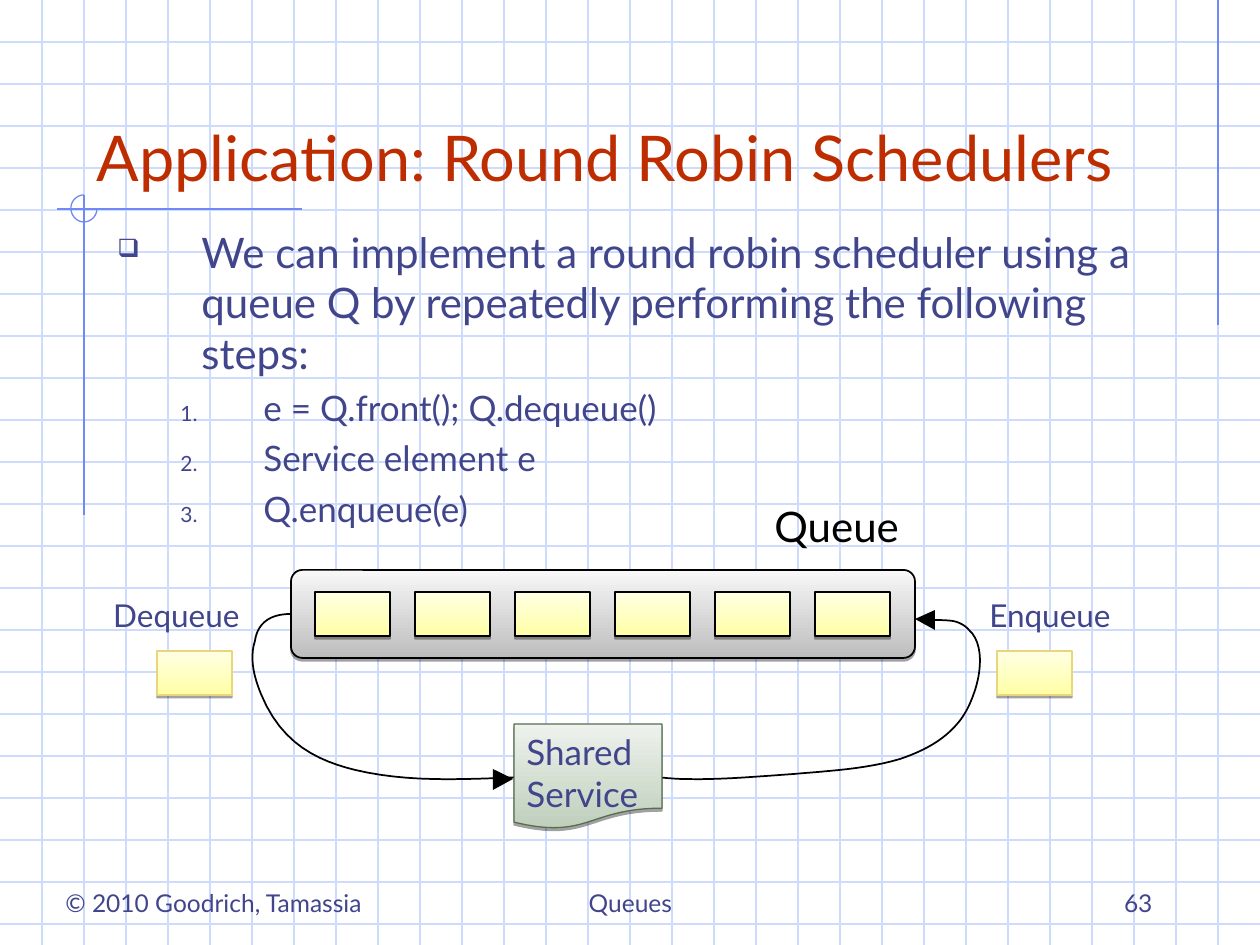
import pptx
import pptx.util
import pptx.dml.color
import pptx.oxml
import pptx.oxml.ns
from pptx.enum.shapes import MSO_CONNECTOR, MSO_SHAPE
from pptx.enum.text import MSO_ANCHOR, MSO_AUTO_SIZE, PP_ALIGN

# Content: lengths in px, 126 to the inch
W, H, GRID = 1260, 945, 42
FONT = "Lato"
INK, RED, BLACK = "40458C", "BE2D00", "000000"
PALE, RULE = "CFDBFD", "6F89F7"
YELLOW, GREY, GREEN = ("FFFFA5", "FFFFE4"), ("BDBDBD", "F8F8F8"), ("BFCFBC", "EEF2ED")

TITLE = "Application: Round Robin Schedulers"
INTRO = ("We can implement a round robin scheduler using a queue Q "
         "by repeatedly performing the following steps:")
STEPS = ["e = Q.front(); Q.dequeue()", "Service element e", "Q.enqueue(e)"]

LEFT, CENTER, RIGHT = PP_ALIGN.LEFT, PP_ALIGN.CENTER, PP_ALIGN.RIGHT
TOP, BOTTOM = MSO_ANCHOR.TOP, MSO_ANCHOR.BOTTOM
LABELS = [  # text, box, size, colour, alignment, anchor
    ("© 2010 Goodrich, Tamassia", (53, 861, 357, 63), 14, INK, LEFT, BOTTOM),
    ("Queues", (431, 861, 399, 63), 14, INK, CENTER, BOTTOM),
    ("63", (903, 861, 262, 63), 14, INK, RIGHT, BOTTOM),
    ("Queue", (762, 494, 158, 63), 24, BLACK, LEFT, TOP),
    ("Enqueue", (977, 590, 262, 50), 18, INK, LEFT, TOP),
    ("Dequeue", (21, 590, 231, 50), 18, INK, RIGHT, TOP),
]
RULES = [(1218, 0, 1218, 325), (302, 209, 57, 209), (84, 195, 84, 515)]

# Curves: a start point, then two control points and an end point for each piece
CORNER = [(84, 195), (77, 195), (71, 201), (71, 208), (71, 216), (77, 222), (84, 222),
          (91, 222), (97, 216), (97, 209)]
DEQUEUE = [(291, 614), (266, 614), (257, 627), (255, 641), (249, 660), (255, 679), (261, 694),
           (282, 745), (319, 761), (355, 770), (406, 782), (457, 780), (524, 777)]
ENQUEUE = [(654, 777), (677, 779), (680, 779), (683, 779), (717, 780), (752, 777), (794, 774),
           (828, 771), (867, 769), (900, 759), (924, 751), (944, 740), (958, 723),
           (964, 716), (969, 707), (973, 696), (982, 673), (984, 643), (969, 630),
           (965, 625), (958, 622), (953, 621), (945, 620), (937, 620), (929, 620)]
ARROWHEADS = [[(493, 790), (513, 779), (493, 769)], [(935, 630), (915, 619), (935, 610)]]

QUEUE = (291, 570, 624, 88)
CELL_W, CELL_H = 75, 44
CELLS = [(315 + 100 * i, 592) for i in range(6)]
LOOSE_CELLS = [(157, 651), (997, 651)]
SERVICE = (514, 724, 148, 105)


def px(v):
    return pptx.util.Emu(round(v * 914400 / 126))


def rgb(c):
    return pptx.dml.color.RGBColor.from_string(c)


def add_xml(parent, xml):
    ns = pptx.oxml.ns.nsdecls("a")
    tag, rest = xml[1:].split(" ", 1)
    parent.append(pptx.oxml.parse_xml(f"<{tag} {ns} {rest}"))


def stroke(sp, color, width):
    sp.line.color.rgb = rgb(color)
    sp.line.width = pptx.util.Pt(width)


def line(x1, y1, x2, y2, color):
    c = s.shapes.add_connector(MSO_CONNECTOR.STRAIGHT, px(x1), px(y1), px(x2), px(y2))
    stroke(c, color, 0.75)
    add_xml(c._element.spPr, "<a:effectLst />")


def outline(points, close):
    pts = [(px(x), px(y)) for x, y in points]
    fb = s.shapes.build_freeform(*pts[0])
    fb.add_line_segments(pts[1:], close=close)
    sp = fb.convert_to_shape()
    sp.shadow.inherit = False
    return sp


def curve(knots, color, width, n=12):
    points = [knots[0]]
    for i in range(0, len(knots) - 1, 3):
        a, b, c, d = knots[i:i + 4]
        for t in (k / n for k in range(1, n + 1)):
            u = 1 - t
            points.append([u**3 * a[j] + 3 * u * u * t * b[j] + 3 * u * t * t * c[j] + t**3 * d[j]
                           for j in (0, 1)])
    sp = outline(points, False)
    sp.fill.background()
    stroke(sp, color, width)


def shaded(kind, box, colors, edge, width):
    """Shape with a bottom-to-top gradient and a short hard shadow."""
    sp = s.shapes.add_shape(kind, *map(px, box))
    sp.fill.gradient()
    sp.fill.gradient_angle = 90
    for stop, color in zip(sp.fill.gradient_stops, colors):
        stop.color.rgb = rgb(color)
    stroke(sp, edge, width)
    sp.shadow.inherit = False
    effects = sp._element.spPr.find(pptx.oxml.ns.qn("a:effectLst"))
    add_xml(effects, '<a:outerShdw blurRad="0" dist="21000" dir="5400000" rotWithShape="0">'
                     f'<a:srgbClr val="{BLACK}"><a:alpha val="37000"/></a:srgbClr></a:outerShdw>')
    return sp


def frame(sp, anchor):
    tf = sp.text_frame
    tf.word_wrap = True
    tf.auto_size = MSO_AUTO_SIZE.NONE
    tf.vertical_anchor = anchor
    return tf


def write(p, text, size, color, align=LEFT):
    p.alignment = align
    r = p.add_run()
    r.text = text
    r.font.name = FONT
    r.font.size = pptx.util.Pt(size)
    r.font.color.rgb = rgb(color)


def bullet(p, margin, hang, mark):
    pPr = p._p.get_or_add_pPr()
    pPr.set("marL", str(px(margin)))
    pPr.set("indent", str(-px(hang)))
    add_xml(pPr, f'<a:buClr ><a:srgbClr val="{INK}"/></a:buClr>')
    add_xml(pPr, '<a:buSzPct val="60000"/>')
    add_xml(pPr, mark)


prs = pptx.Presentation()
prs.slide_width, prs.slide_height = px(W), px(H)
s = prs.slides.add_slide(prs.slide_layouts[5])

# Grid paper and corner rules
for y in range(GRID, H, GRID):
    line(0, y, W, y, PALE)
for x in range(GRID, W, GRID):
    line(x, 0, x, H, PALE)
for ends in RULES:
    line(*ends, RULE)
curve(CORNER, RULE, 0.75)

# Title, brought in front of the grid
title = s.shapes.title
title.left, title.top, title.width, title.height = map(px, (84, 42, 1071, 158))
write(frame(title, BOTTOM).paragraphs[0], TITLE, 36, RED)
s.shapes._spTree.append(title._element)

# Body text
tf = frame(s.shapes.add_textbox(*map(px, (105, 220, 1102, 336))), TOP)
p = tf.paragraphs[0]
bullet(p, 84, 84, '<a:buChar char="❑"/>')
write(p, INTRO, 24, INK)
for step in STEPS:
    p = tf.add_paragraph()
    p.level = 1
    p.space_before = pptx.util.Pt(5)
    bullet(p, 146, 83, '<a:buAutoNum type="arabicPeriod"/>')
    write(p, step, 20, INK)

# Queue and its elements
sp = shaded(MSO_SHAPE.ROUNDED_RECTANGLE, QUEUE, GREY, BLACK, 1)
sp.adjustments[0] = 0.13
for x, y in CELLS:
    shaded(MSO_SHAPE.RECTANGLE, (x, y, CELL_W, CELL_H), YELLOW, BLACK, 1)
for x, y in LOOSE_CELLS:
    shaded(MSO_SHAPE.RECTANGLE, (x, y, CELL_W, CELL_H), YELLOW, "E9D57C", 0.75)

# Paths to and from the shared service
for knots in (DEQUEUE, ENQUEUE):
    curve(knots, BLACK, 1)
for points in ARROWHEADS:
    sp = outline(points, True)
    sp.fill.solid()
    sp.fill.fore_color.rgb = rgb(BLACK)
    sp.line.fill.background()
sp = shaded(MSO_SHAPE.FLOWCHART_DOCUMENT, SERVICE, GREEN, "546E4F", 0.75)
p = frame(sp, TOP).paragraphs[0]
write(p, "Shared", 20, INK)
p.add_line_break()
write(p, "Service", 20, INK)

# Labels and footer
for text, box, size, color, align, anchor in LABELS:
    tf = frame(s.shapes.add_textbox(*map(px, box)), anchor)
    write(tf.paragraphs[0], text, size, color, align)

prs.save("out.pptx")
